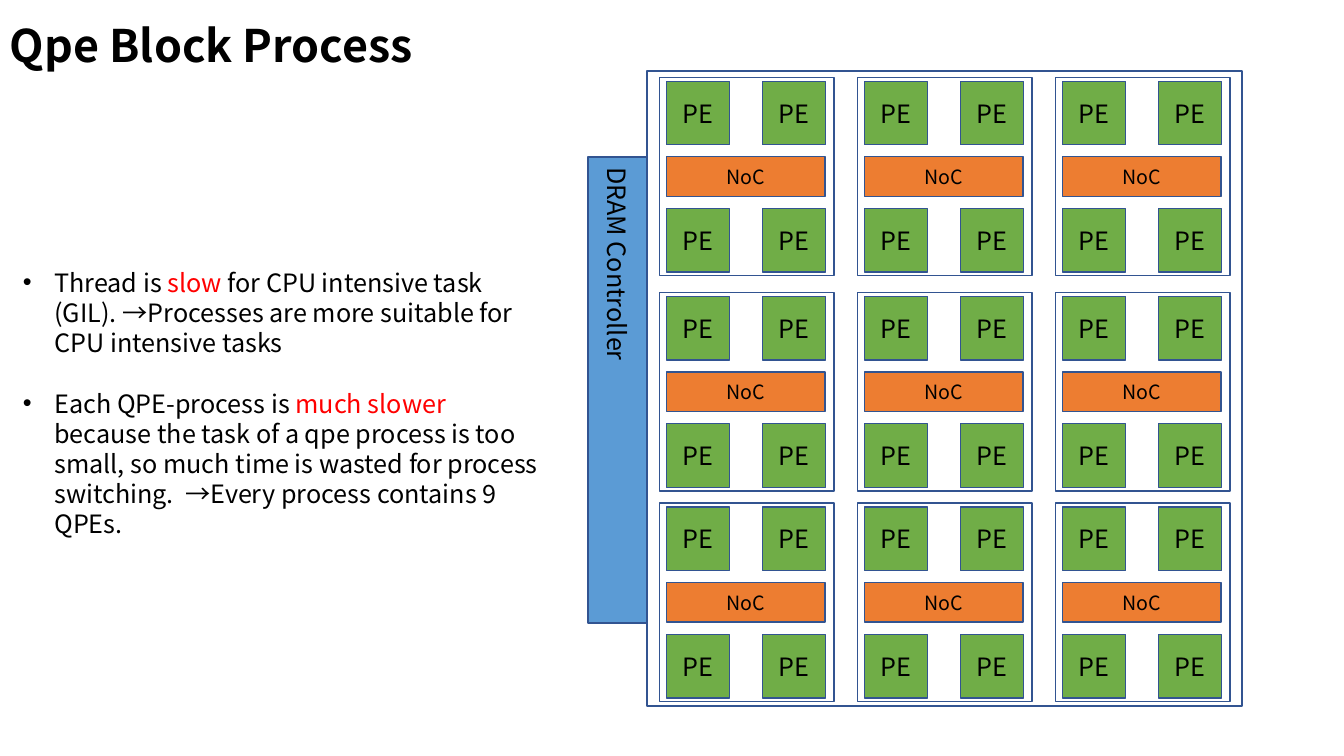
from itertools import product

from lxml.etree import SubElement
from pptx import Presentation
from pptx.dml.color import RGBColor
from pptx.enum.shapes import MSO_SHAPE
from pptx.enum.text import MSO_ANCHOR, MSO_AUTO_SIZE, PP_ALIGN
from pptx.oxml.ns import qn
from pptx.util import Cm, Pt

COLORS = {
    "ink": "000000",
    "alert": "FF0000",
    "edge": "325491",
    "core": "70AD47",
    "noc": "ED7D31",
    "dram": "5B9BD5",
}
FONT = "Noto Sans CJK SC"
LEADING = 1.2


class Board:
    def __init__(self, slide):
        self.slide = slide

    def color(self, name):
        return RGBColor.from_string(COLORS[name])

    def style(self, par, size, bold=False):
        par.line_spacing = Pt(size * LEADING)
        for run in par.runs:
            run.font.name = FONT
            run.font.size = Pt(size)
            run.font.bold = bold
            run.font.color.rgb = self.color("ink")
            SubElement(run._r.get_or_add_rPr(), qn("a:ea"), typeface=FONT)

    def text_box(self, x, y, w, h):
        box = self.slide.shapes.add_textbox(Cm(x), Cm(y), Cm(w), Cm(h))
        frame = box.text_frame
        frame.word_wrap = True
        frame.auto_size = MSO_AUTO_SIZE.SHAPE_TO_FIT_TEXT
        return frame

    def title(self, x, y, w, h, text):
        frame = self.text_box(x, y, w, h)
        frame.text = text
        self.style(frame.paragraphs[0], 32, bold=True)

    def bullets(self, x, y, w, h, items):
        frame = self.text_box(x, y, w, h)
        for index, parts in enumerate(items):
            par = frame.add_paragraph() if index else frame.paragraphs[0]
            props = par._p.get_or_add_pPr()
            props.set("marL", str(Cm(0.79)))
            props.set("indent", str(-Cm(0.79)))
            SubElement(props, qn("a:buFont"), typeface="Arial")
            SubElement(props, qn("a:buChar"), char="•")
            for part in parts:
                par.add_run().text = part
            self.style(par, 18)
            par.runs[1].font.color.rgb = self.color("alert")
            if index:
                par.space_before = Pt(18 * LEADING)

    def rect(self, x, y, w, h, fill=None, text="", size=18, line=1, group=None):
        shapes = (group or self.slide).shapes
        shape = shapes.add_shape(MSO_SHAPE.RECTANGLE, Cm(x), Cm(y), Cm(w), Cm(h))
        shape.shadow.inherit = False
        shape.line.color.rgb = self.color("edge")
        shape.line.width = Pt(line)
        if fill:
            shape.fill.solid()
            shape.fill.fore_color.rgb = self.color(fill)
        else:
            shape.fill.background()
        if text:
            frame = shape.text_frame
            frame.text = text
            frame.word_wrap = True
            frame.vertical_anchor = MSO_ANCHOR.MIDDLE
            frame.paragraphs[0].alignment = PP_ALIGN.CENTER
            self.style(frame.paragraphs[0], size)
        return shape

    def block(self, x, y):
        group = self.slide.shapes.add_group_shape()
        self.rect(x, y, 4.4, 5, group=group)
        for dy, dx in product((3.31, 0.1), (0.17, 2.59)):
            self.rect(x + dx, y + dy, 1.6, 1.6, "core", "PE", group=group)
        self.rect(x + 0.17, y + 2, 4, 1, "noc", "NoC", size=14, group=group)


def main():
    deck = Presentation()
    deck.slide_width, deck.slide_height = Cm(33.87), Cm(19.05)
    board = Board(deck.slides.add_slide(deck.slide_layouts[6]))

    board.title(0, 0.33, 11.02, 1.63, "Qpe Block Process")
    board.bullets(0.33, 6.6, 13.72, 6.4, [
        ("Thread is ", "slow",
         " for CPU intensive task (GIL). →Processes are more suitable "
         "for CPU intensive tasks"),
        ("Each QPE-process is ", "much slower ",
         "because the task of a qpe process is too small, so much time is "
         "wasted for process switching.  →Every process contains 9 QPEs."),
    ])

    board.rect(16.31, 1.8, 15, 16, line=1.5)
    for top, col in product((1.95, 7.37, 12.68), range(3)):
        board.block(16.62 + 4.99 * col, top)

    dram = board.rect(14.81, 3.96, 1.5, 11.73, "dram", "DRAM Controller", line=1.5)
    dram.text_frame._txBody.bodyPr.set("vert", "eaVert")

    deck.save("out.pptx")


if __name__ == "__main__":
    main()
